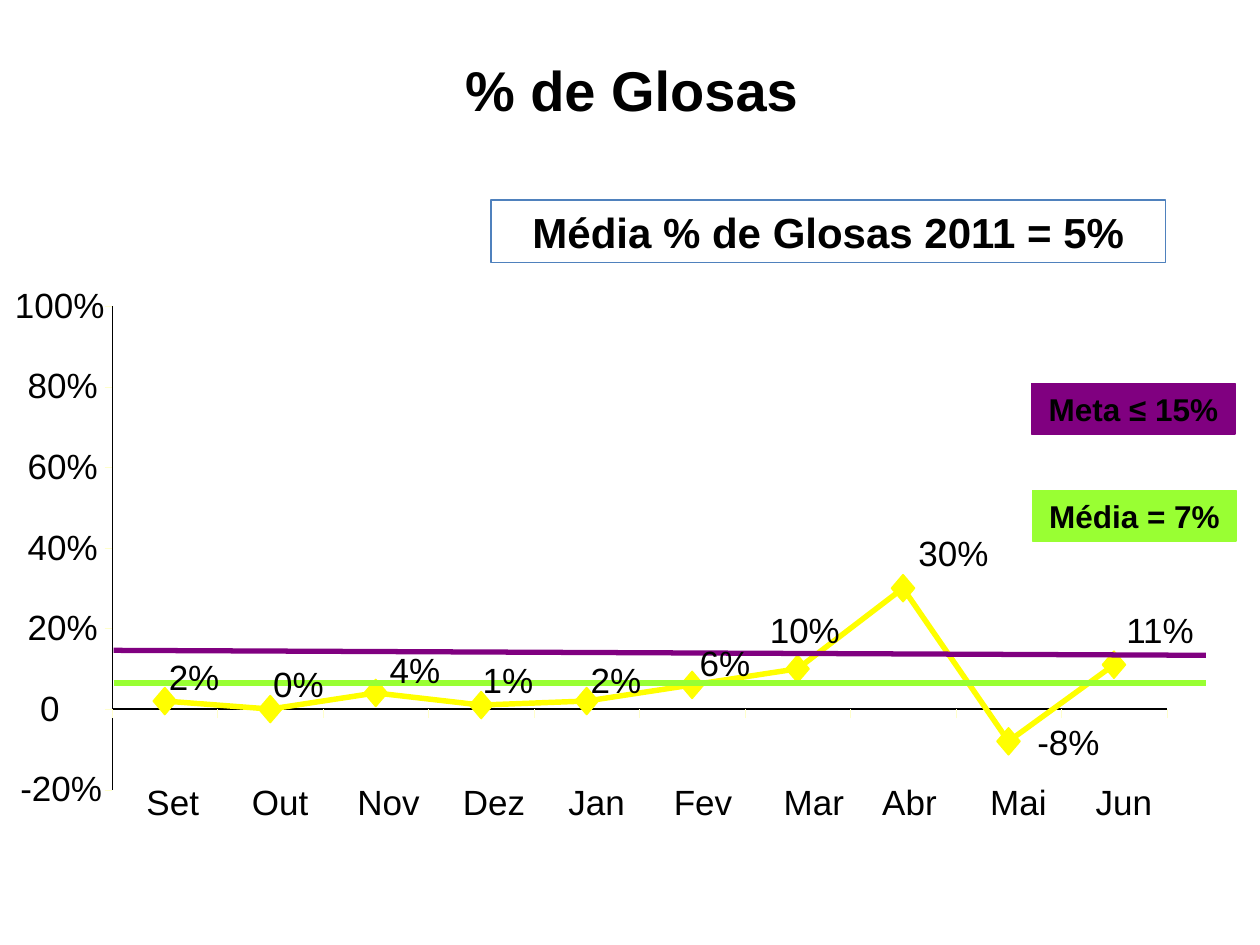
"""Build the slide on the monthly share of disallowed claims."""
from pptx import Presentation
from pptx.dml.color import RGBColor
from pptx.enum.shapes import MSO_CONNECTOR as Wire, MSO_SHAPE as Form
from pptx.enum.text import MSO_ANCHOR as Anchor, MSO_AUTO_SIZE as Fit, PP_ALIGN as Align
from pptx.oxml.ns import qn
from pptx.util import Cm, Pt
from lxml.etree import SubElement

BLACK, CREAM, YELLOW = "000000", "FFFFCC", "FFFF00"
PURPLE, GREEN, BLUE = "800080", "99FF33", "4F81BD"
HIGH, LOW, STEP = 100, -20, 20

# month, month width, month shift, value, label shift across and down
MONTHS = [
    ("Set", 1.09, -0.37, 2, 0.08, -0.91),
    ("Out", 1.16, -0.37, 0, 0.06, -0.94),
    ("Nov", 1.29, -0.37, 4, 0.28, -0.89),
    ("Dez", 1.29, -0.37, 1, 0.03, -0.93),
    ("Jan", 1.16, -0.37, 2, 0.08, -0.85),
    ("Fev", 1.22, -0.37, 6, 0.15, -0.88),
    ("Mar", 1.24, -0.28, 10, -0.56, -1.22),
    ("Abr", 1.14, -0.42, 30, 0.31, -1.14),
    ("Mai", 1.16, -0.37, -8, 0.58, -0.42),
    ("Jun", 1.16, -0.37, 11, 0.25, -1.14),
]
SCALE = {100: 0.3, 80: 0.56, 60: 0.56, 40: 0.56, 20: 0.56, 0: 0.81, -20: 0.41}


def tint(code):
    """Turn a hex string into a colour."""
    return RGBColor.from_string(code)


def write(shape, text, size=20, bold=False, align=Align.LEFT, pad=(0, 0), wrap=False):
    """Put formatted text into a shape."""
    frame = shape.text_frame
    frame.word_wrap = wrap
    frame.auto_size = Fit.NONE if wrap else Fit.SHAPE_TO_FIT_TEXT
    frame.vertical_anchor = Anchor.TOP
    frame.margin_left = frame.margin_right = Cm(pad[0])
    frame.margin_top = frame.margin_bottom = Cm(pad[1])
    para = frame.paragraphs[0]
    para.alignment = align
    run = para.add_run()
    run.text = text
    font = run.font
    font.name, font.size, font.bold = "Arial", Pt(size), bold
    font.color.rgb = tint(BLACK)


def label(slide, text, x, y, wide):
    """Add a plain chart label."""
    write(slide.shapes.add_textbox(Cm(x), Cm(y), Cm(wide), Cm(0.84)), text)


def span(text):
    """Give the width of a number label."""
    digits = sum(char.isdigit() for char in text)
    return 0.4 * digits + 0.64 * ("%" in text) + 0.24 * ("-" in text)


def line(slide, start, end, color, width=0.1):
    """Draw a straight line without a shadow."""
    wire = slide.shapes.add_connector(Wire.STRAIGHT, *map(Cm, start + end))
    wire.line.color.rgb = tint(color)
    wire.line.width = Pt(width)
    SubElement(wire._element.spPr, qn("a:effectLst"))


def paint(shape, fill, edge, width):
    """Set the fill and outline of a shape."""
    shape.shadow.inherit = False
    if fill:
        shape.fill.solid()
        shape.fill.fore_color.rgb = tint(fill)
    else:
        shape.fill.background()
    shape.line.color.rgb = tint(edge)
    shape.line.width = Pt(width)


def badge(slide, box, text, size, fill, edge):
    """Add a framed caption."""
    shape = slide.shapes.add_shape(Form.RECTANGLE, *map(Cm, box))
    paint(shape, fill, edge, 0.74)
    write(shape, text, size, True, Align.CENTER, (0.25, 0.13), True)


def axes(slide, box, level):
    """Draw both axes with ticks and scale labels."""
    left, top, wide, tall = box
    line(slide, (left, top), (left, top + tall), BLACK)
    for value in range(LOW, HIGH + 1, STEP):
        y = level(value)
        line(slide, (left - 0.15, y), (left, y), CREAM)
        text = f"{value}%" if value else "0"
        label(slide, text, SCALE[value], y - 0.46, span(text))
    zero = level(0)
    line(slide, (left, zero), (left + wide, zero), BLACK, 0.74)
    for index in range(len(MONTHS) + 1):
        x = left + index * wide / len(MONTHS)
        line(slide, (x, zero + 0.18), (x, zero), CREAM)


def trend(slide, points):
    """Draw the yellow line and its diamond markers."""
    path = [(Cm(x), Cm(y)) for x, y in points]
    pen = slide.shapes.build_freeform(*path[0], scale=1.0)
    pen.add_line_segments(path[1:], close=False)
    paint(pen.convert_to_shape(), None, YELLOW, 3.12)
    for x, y in points:
        spot = (x - 0.23, y - 0.27, 0.46, 0.54)
        mark = slide.shapes.add_shape(Form.DIAMOND, *map(Cm, spot))
        paint(mark, YELLOW, YELLOW, 0.99)


def plot(slide, box):
    """Draw the whole graph inside its box."""
    left, top, wide, tall = box

    def level(value):
        """Give the height of a value."""
        return top + (HIGH - value) * tall / (HIGH - LOW)

    axes(slide, box, level)
    slot = wide / len(MONTHS)
    points = [(left + (i + 0.5) * slot, level(row[3])) for i, row in enumerate(MONTHS)]
    trend(slide, points)
    start, end = left + 0.03, left + wide + 0.79
    line(slide, (start, top + 6.94), (end, top + 7.04), PURPLE, 3)
    line(slide, (start, top + 7.6), (end, top + 7.6), GREEN, 3)
    for (x, y), (month, size, shift, value, across, down) in zip(points, MONTHS):
        label(slide, month, x + shift, top + tall - 0.18, size)
        text = f"{value}%"
        label(slide, text, x + across, y + down, span(text))


def head(slide, box):
    """Place and format the title."""
    title = slide.shapes.title
    title.left, title.top, title.width, title.height = map(Cm, box)
    write(title, "% de Glosas", 32, True, Align.CENTER)


def main():
    """Build and save the slide."""
    deck = Presentation()
    deck.slide_width, deck.slide_height = Cm(25.4), Cm(19.05)
    slide = deck.slides.add_slide(deck.slide_layouts[5])
    head(slide, (9.37, 1.12, 6.73, 1.35))
    plot(slide, (2.26, 6.17, 21.26, 9.75))
    badge(slide, (9.9, 4.03, 13.6, 1.27), "Média % de Glosas 2011 = 5%", 24, None, BLUE)
    badge(slide, (20.8, 7.73, 4.1, 1.02), "Meta ≤ 15%", 18, PURPLE, PURPLE)
    badge(slide, (20.82, 9.89, 4.1, 1.02), "Média = 7%", 18, GREEN, GREEN)
    deck.save("out.pptx")


main()
